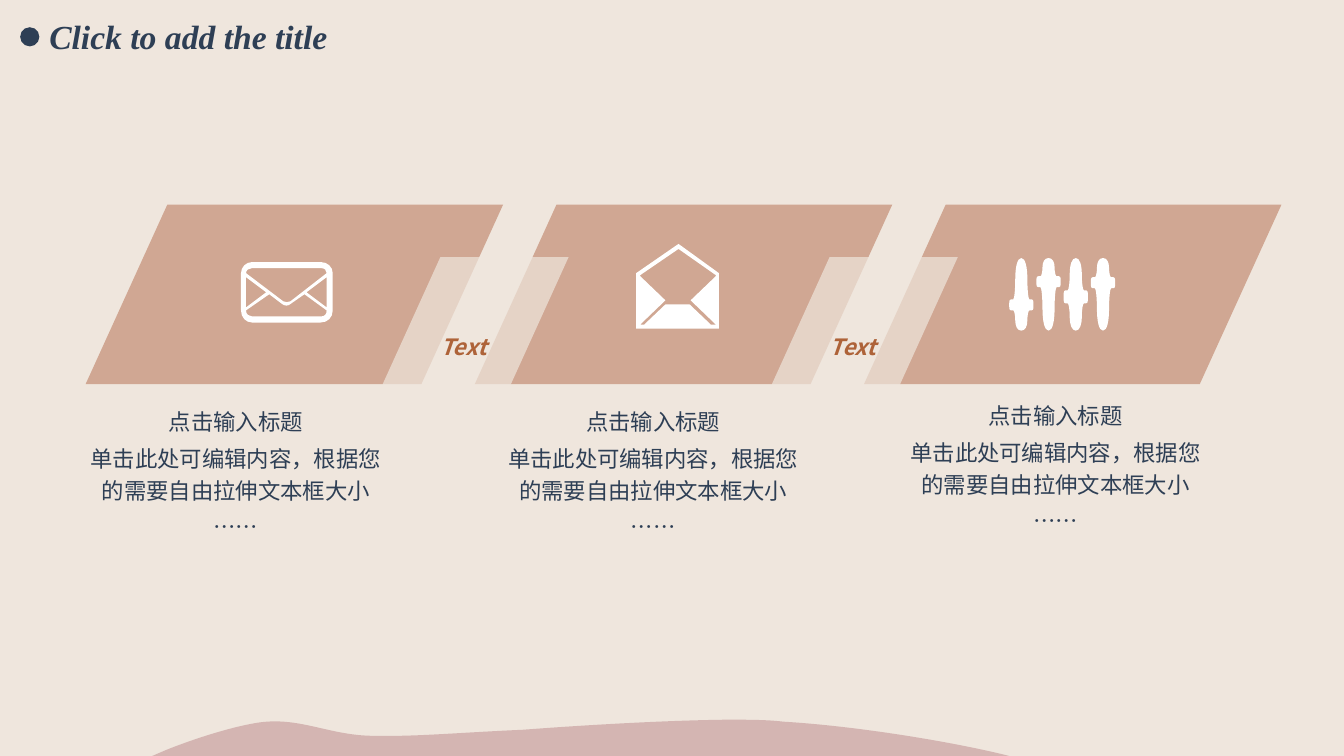
import pptx
import pptx.dml.color
import pptx.enum.shapes
import pptx.enum.text
import pptx.oxml
import pptx.oxml.ns
import pptx.util

Inches = pptx.util.Inches
Pt = pptx.util.Pt
SHAPES = pptx.enum.shapes.MSO_SHAPE
ALIGN = pptx.enum.text.PP_ALIGN
NAMESPACE = pptx.oxml.ns.nsdecls("a")

SAND, NAVY, CLAY, RUST, ROSE, WHITE = (
    "EFE6DD", "2E3F55", "D0A793", "AE6339", "D4B5B2", "FFFFFF")
CJK_FONT = "Noto Sans CJK SC"
BAND_STEP = 3.86
CAPTION = ["点击输入标题", "单击此处可编辑内容，根据您的需要自由拉伸文本框大小", "……"]
CAPTION_PLACES = [(0.84, 4), (4.98, 4), (8.97, 3.94)]

# Outlines in inches: two numbers are a corner, six are a cubic curve.
OPEN_ENVELOPE = [
    [(6.73, 2.42), (6.31, 2.71), (6.31, 3.26), (7.13, 3.26), (7.13, 2.71)],
    [(7.05, 3.22), (6.84, 3.02), (6.6, 3.02), (6.39, 3.22), (6.35, 3.22),
     (6.6, 2.98), (6.35, 2.74), (6.35, 2.73), (6.73, 2.47), (7.1, 2.73),
     (7.1, 2.74), (6.85, 2.98), (7.1, 3.22)],
]
CLOSED_ENVELOPE = [
    # Rim
    [(3.18, 2.6), (2.5, 2.6), (2.44, 2.6, 2.39, 2.65, 2.39, 2.71),
     (2.39, 3.08), (2.39, 3.15, 2.44, 3.2, 2.5, 3.2), (3.18, 3.2),
     (3.25, 3.2, 3.3, 3.15, 3.3, 3.08), (3.3, 2.71),
     (3.3, 2.65, 3.25, 2.6, 3.18, 2.6)],
    # Flap
    [(2.88, 2.99), (2.86, 3, 2.83, 3, 2.81, 2.99), (2.44, 2.71),
     (2.44, 2.68, 2.47, 2.66, 2.5, 2.66), (3.18, 2.66),
     (3.22, 2.66, 3.24, 2.68, 3.24, 2.71)],
    # Lower panel
    [(3.24, 3.08), (3.24, 3.12, 3.22, 3.14, 3.18, 3.14), (2.5, 3.14),
     (2.47, 3.14, 2.44, 3.12, 2.44, 3.08), (2.67, 2.92), (2.79, 3.01),
     (2.82, 3.04, 2.86, 3.04, 2.89, 3.01), (3.02, 2.92)],
    # Side panels
    [(3.24, 3.05), (3.04, 2.9), (3.24, 2.75)],
    [(2.44, 2.75), (2.64, 2.9), (2.44, 3.05)],
]
HILL = [
    (7.21, 7.14), (6.33, 7.15, 5.19, 7.24, 5.19, 7.24),
    (4.51, 7.27, 4.13, 7.31, 3.68, 7.3), (3.23, 7.29, 2.94, 7.09, 2.5, 7.18),
    (2.28, 7.22, 1.95, 7.32, 1.65, 7.44), (1.51, 7.5), (10.01, 7.5),
    (9.97, 7.49), (9.4, 7.35, 8.46, 7.2, 7.77, 7.16),
    (7.61, 7.14, 7.42, 7.14, 7.21, 7.14),
]
# Centre, knob top and knob bottom of each slider
SLIDERS = [(10.13, 2.97, 3.08), (10.4, 2.74, 2.85),
           (10.67, 2.88, 3.01), (10.94, 2.75, 2.86)]


def color(hex_value):
    return pptx.dml.color.RGBColor.from_string(hex_value)


def paint(shape, fill, opacity=None):
    shape.shadow.inherit = False
    shape.fill.solid()
    shape.fill.fore_color.rgb = color(fill)
    shape.line.fill.background()
    if opacity is not None:
        fill_color = shape.fill._xPr.find(".//" + pptx.oxml.ns.qn("a:srgbClr"))
        fill_color.append(pptx.oxml.parse_xml(
            f'<a:alpha {NAMESPACE} val="{opacity * 1000}"/>'))


def bend_lines(shape, segments):
    """Turn the straight segments that have control points into curves."""
    lines = list(shape._element.iter(pptx.oxml.ns.qn("a:lnTo")))
    for line, segment in zip(lines, segments):
        if len(segment) == 6:
            points = "".join(
                f'<a:pt x="{Inches(x) - shape.left}" y="{Inches(y) - shape.top}"/>'
                for x, y in zip(segment[::2], segment[1::2]))
            curve = pptx.oxml.parse_xml(
                f"<a:cubicBezTo {NAMESPACE}>{points}</a:cubicBezTo>")
            line.getparent().replace(line, curve)


def add_outline(slide, contours, fill):
    builder = None
    for contour in contours:
        ends = [(Inches(segment[-2]), Inches(segment[-1])) for segment in contour]
        if builder is None:
            builder = slide.shapes.build_freeform(*ends[0])
        else:
            builder.move_to(*ends[0])
        builder.add_line_segments(ends[1:], close=True)
    shape = builder.convert_to_shape()
    bend_lines(shape, [segment for contour in contours for segment in contour[1:]])
    paint(shape, fill)


def add_run(paragraph, text, size, font, text_color, emphasis=False):
    run = paragraph.add_run()
    run.text = text
    run.font.size = Pt(size)
    run.font.name = font
    run.font.bold = run.font.italic = emphasis
    run.font.color.rgb = color(text_color)
    east_asian = pptx.oxml.parse_xml(f'<a:ea {NAMESPACE} typeface="{font}"/>')
    run.font._rPr.find(pptx.oxml.ns.qn("a:latin")).addnext(east_asian)


def add_text_frame(slide, left, top, width, height):
    box = slide.shapes.add_textbox(
        Inches(left), Inches(top), Inches(width), Inches(height))
    frame = box.text_frame
    frame.word_wrap = True
    frame.auto_size = pptx.enum.text.MSO_AUTO_SIZE.SHAPE_TO_FIT_TEXT
    return frame


def add_title(slide):
    frame = add_text_frame(slide, 0.39, 0.11, 3.15, 0.5)
    add_run(frame.paragraphs[0], "Click to add the title", 24,
            "Times New Roman", NAVY, emphasis=True)
    dot = slide.shapes.add_shape(
        SHAPES.OVAL, Inches(0.2), Inches(0.27), Inches(0.19), Inches(0.19))
    paint(dot, NAVY)


def add_caption(slide, left, top):
    frame = add_text_frame(slide, left, top, 3, 1.4)
    frame.margin_left = frame.margin_right = 0
    frame.margin_top = frame.margin_bottom = 0
    for index, text in enumerate(CAPTION):
        paragraph = frame.add_paragraph() if index else frame.paragraphs[0]
        paragraph.alignment = ALIGN.CENTER
        paragraph.line_spacing = 1.2
        if index:
            paragraph.space_before = Pt(3)
        add_run(paragraph, text, 16, CJK_FONT, NAVY)


def add_band(slide, left):
    top, bottom = 2.03, 3.81
    add_outline(slide, [[(left + 0.81, top), (left + 4.14, top),
                         (left + 3.33, bottom), (left, bottom)]], CLAY)


def add_link(slide, left):
    link = slide.shapes.add_shape(
        SHAPES.PARALLELOGRAM, Inches(left), Inches(2.55), Inches(2.08), Inches(1.78))
    link.adjustments[0] = 0.454
    paint(link, SAND, opacity=70)
    link.text_frame.vertical_anchor = pptx.enum.text.MSO_ANCHOR.MIDDLE
    paragraph = link.text_frame.paragraphs[0]
    paragraph.alignment = ALIGN.CENTER
    add_run(paragraph, "Text", 16, CJK_FONT, RUST, emphasis=True)


def add_slider(slide, center, knob_top, knob_bottom):
    def quarter(tip, knob):
        """Offsets from the stem's tip to the knob's side."""
        reach = knob - tip
        middle = (knob_top + knob_bottom) / 2
        return [(0, tip), (0.04, tip), (0.06, tip + reach * 0.22),
                (0.06, tip + reach * 0.51), (0.06, tip + reach * 0.76),
                (0.07, knob), (0.08, knob),
                (0.12, knob), (0.12, knob), (0.12, middle)]

    right = quarter(2.56, knob_top) + quarter(3.28, knob_bottom)[-2::-1]
    left = [(-x, y) for x, y in right[-2::-1]]
    points = [(center + x, y) for x, y in right + left]
    curves = [sum(points[start:start + 3], ()) for start in range(1, len(points), 3)]
    add_outline(slide, [points[:1] + curves], WHITE)


def main():
    presentation = pptx.Presentation()
    presentation.slide_width = Inches(13.33)
    presentation.slide_height = Inches(7.5)
    slide = presentation.slides.add_slide(presentation.slide_layouts[6])
    slide.background.fill.solid()
    slide.background.fill.fore_color.rgb = color(SAND)

    # Title and captions
    add_title(slide)
    for left, top in CAPTION_PLACES:
        add_caption(slide, left, top)

    # Bands and the links between them
    for index in reversed(range(3)):
        add_band(slide, 0.85 + index * BAND_STEP)
    for index in range(2):
        add_link(slide, 3.56 + index * BAND_STEP)

    # Icons
    add_outline(slide, OPEN_ENVELOPE, WHITE)
    add_outline(slide, CLOSED_ENVELOPE, WHITE)
    for slider in SLIDERS:
        add_slider(slide, *slider)

    # Hill at the foot
    add_outline(slide, [HILL], ROSE)
    presentation.save("out.pptx")


if __name__ == "__main__":
    main()
